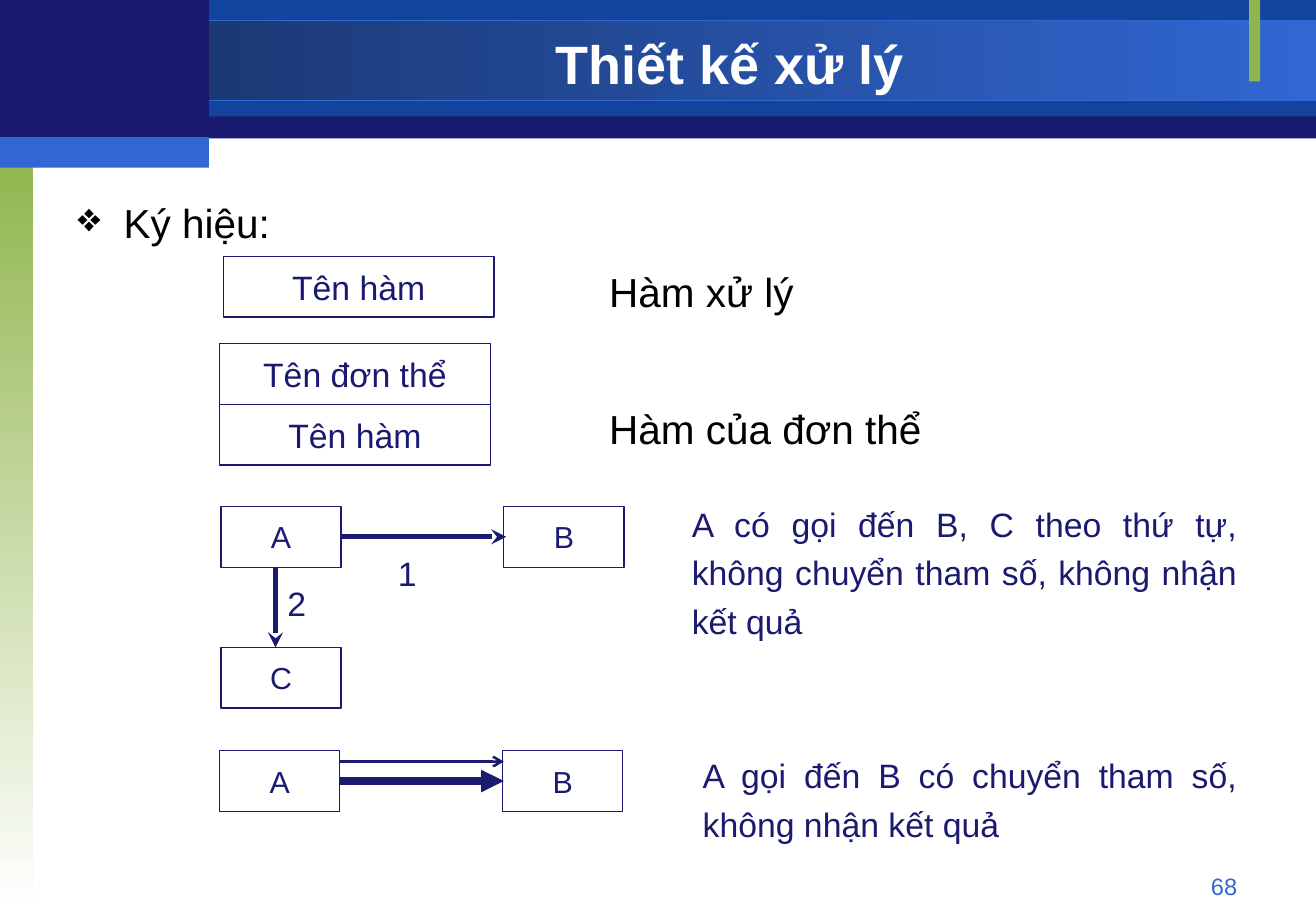
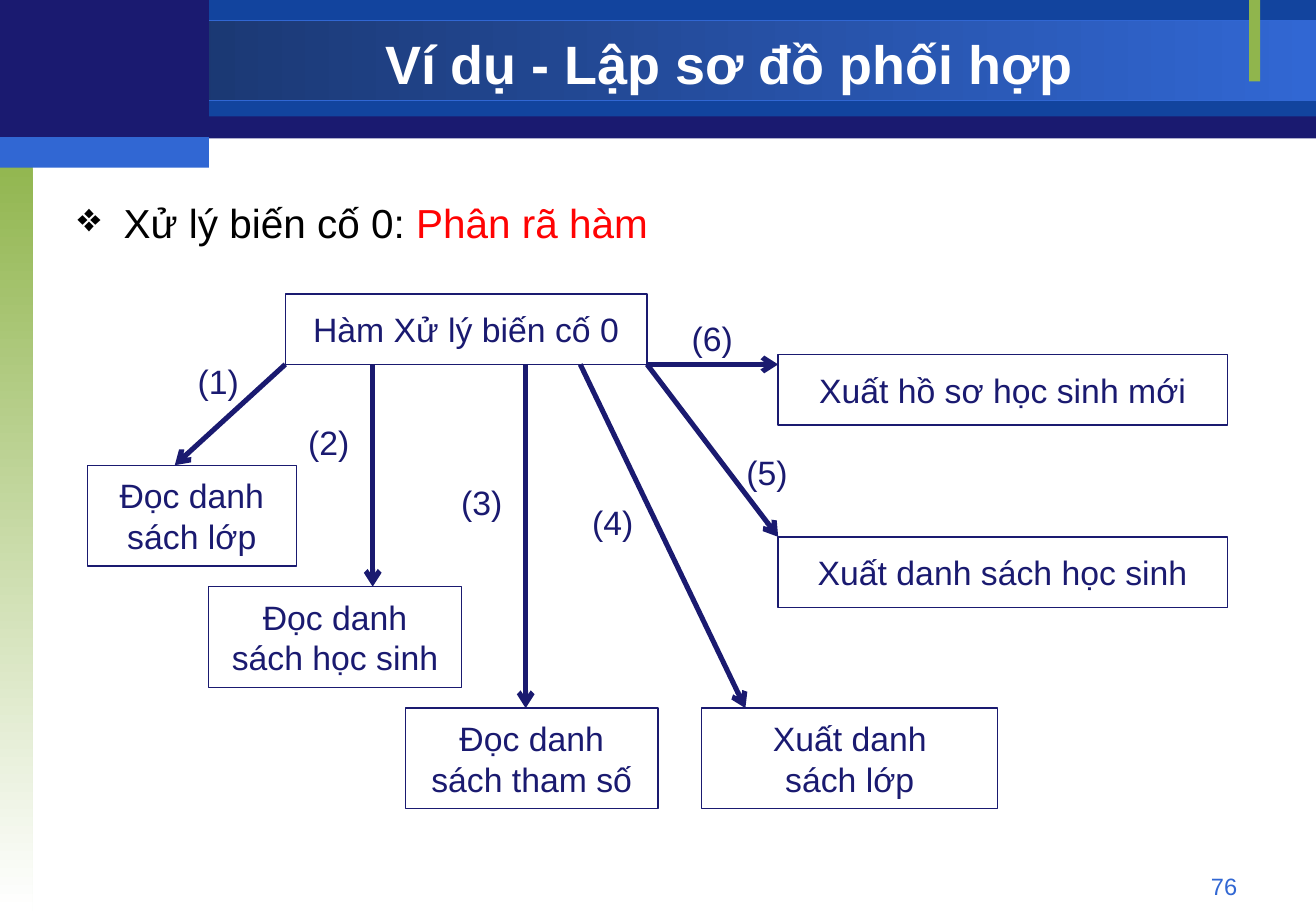
from pptx import Presentation
from pptx.dml.color import RGBColor
from pptx.enum import shapes, text
from pptx.oxml import parse_xml
from pptx.oxml.ns import nsdecls
from pptx.util import Inches, Pt


class Theme:
    font = "Arial"
    navy, royal, sky, dusk = "1A1A70", "12449E", "3167D3", "173062"
    green, white, black, red = "90B54D", "FFFFFF", "000000", "FF0303"
    title, body, label, node, footer = 32, 24, 20, 18, 14
    hairline = 0.75


LEFT, CENTER, RIGHT, JUSTIFY = (
    text.PP_ALIGN.LEFT, text.PP_ALIGN.CENTER, text.PP_ALIGN.RIGHT, text.PP_ALIGN.JUSTIFY)

# Areas are left, top, width, height; two colours make a gradient at the given angle.
BANDS = [
    ((0, 0.01, 10.84, 1.13), [Theme.navy], 0, None),
    ((1.72, 0, 9.12, 0.96), [Theme.royal], 0, None),
    ((0, 0.17, 10.84, 0.66), [Theme.dusk, Theme.sky], 0, Theme.sky),
    ((0, 1.25, 0.27, 6.25), [Theme.green, Theme.white], 270, None),
    ((10.29, 0, 0.09, 0.67), [Theme.green], 0, None),
    ((0, 0, 1.72, 1.17), [Theme.navy], 0, None),
    ((0, 1.13, 1.72, 0.25), [Theme.sky], 0, None),
]
TITLE_AREA = (1.72, 0.23, 8.58, 0.58)
BULLET_AREA = (0.54, 1.5, 9.75, 0.6)
NUMBER_AREA = (7.76, 7.13, 2.53, 0.27)
LABEL_SIZE = (0.63, 0.44)

# Symbols
FUNCTION_BOXES = [
    ("Tên hàm", (1.84, 2.11)), ("Tên đơn thể", (1.81, 2.83)), ("Tên hàm", (1.81, 3.33))]
FUNCTION_SIZE = (2.23, 0.5)
MEANINGS = [("Hàm xử lý", 2.07), ("Hàm của đơn thể", 3.2)]
NODE_SIZE = (0.99, 0.5)
NODES = [("A", (1.82, 4.17)), ("B", (4.15, 4.17)), ("C", (1.82, 5.33)),
         ("A", (1.81, 6.18)), ("B", (4.14, 6.18))]
CALLS = [  # start, end, weight, head
    ((2.81, 4.42), (4.17, 4.42), 3, "stealth"),
    ((2.27, 4.67), (2.27, 5.33), 3, "stealth"),
    ((2.8, 6.43), (4.15, 6.43), 4.5, "triangle"),
    ((2.8, 6.27), (4.15, 6.27), 1.5, "arrow"),
]
CALL_ORDER = [("1", (3.18, 4.5)), ("2", (2.27, 4.75))]
CALL_NOTES = [
    ("A có gọi đến B, C theo thứ tự, không chuyển tham số, không nhận kết quả",
     (5.6, 4.03, 4.69, 1.3)),
    ("A gọi đến B có chuyển tham số, không nhận kết quả", (5.69, 6.1, 4.6, 0.9)),
]

# Decomposition
ROOT = ("Hàm Xử lý biến cố 0", (2.35, 2.42, 2.98, 0.58))
STEPS = [  # lines, area, arrow start x, arrow end, label position
    (["Đọc danh", "sách lớp"], (0.72, 3.83, 1.72, 0.83), 2.35, (1.44, 3.83), (1.53, 2.92)),
    (["Đọc danh", "sách học sinh"], (1.72, 4.83, 2.08, 0.83), 3.07, (3.07, 4.83), (2.44, 3.42)),
    (["Đọc danh", "sách tham số"], (3.34, 5.83, 2.08, 0.83), 4.33, (4.33, 5.83), (3.7, 3.92)),
    (["Xuất danh", "sách lớp"], (5.78, 5.83, 2.44, 0.83), 4.78, (6.14, 5.83), (4.78, 4.08)),
    (["Xuất danh sách học sinh"], (6.41, 4.42, 3.7, 0.58), 5.33, (6.41, 4.42), (6.05, 3.67)),
    (["Xuất hồ sơ học sinh mới"], (6.41, 2.92, 3.7, 0.58), 5.33, (6.41, 3), (5.6, 2.57)),
]


def inches(values):
    return [Inches(value) for value in values]


def rgb(code):
    return RGBColor.from_string(code)


def write(frame, lines, size=Theme.label, color=Theme.navy, bold=False, align=LEFT,
          anchor=text.MSO_ANCHOR.TOP, wrap=True, spacing=None, bullet=None):
    """Fill a frame; each line is a string or a list of (text, colour) spans."""
    frame.word_wrap = wrap
    frame.vertical_anchor = anchor
    for index, line in enumerate(lines):
        para = frame.add_paragraph() if index else frame.paragraphs[0]
        para.alignment = align
        if spacing:
            para.line_spacing = spacing
        if bullet:
            add_bullet(para, bullet)
        for words, tint in [(line, color)] if isinstance(line, str) else line:
            span = para.add_run()
            span.text = words
            span.font.name = Theme.font
            span.font.size = Pt(size)
            span.font.bold = bold
            span.font.color.rgb = rgb(tint)


def add_bullet(para, symbol):
    props = para._p.get_or_add_pPr()
    props.set("marL", str(Inches(0.38)))
    props.set("indent", str(-Inches(0.38)))
    props.append(parse_xml(
        f'<a:buClr {nsdecls("a")}><a:srgbClr val="{Theme.black}"/></a:buClr>'))
    props.append(parse_xml(f'<a:buChar {nsdecls("a")} char="{symbol}"/>'))


def add_text(page, area, lines, **style):
    write(page.shapes.add_textbox(*inches(area)).text_frame, lines, **style)


def add_rect(page, area, colors=(), angle=0, line=None):
    rect = page.shapes.add_shape(shapes.MSO_SHAPE.RECTANGLE, *inches(area))
    rect.shadow.inherit = False
    if len(colors) > 1:
        rect.fill.gradient()
        rect.fill.gradient_angle = angle
        for stop, color in zip(rect.fill.gradient_stops, colors):
            stop.color.rgb = rgb(color)
    elif colors:
        rect.fill.solid()
        rect.fill.fore_color.rgb = rgb(colors[0])
    else:
        rect.fill.background()
    if line:
        rect.line.color.rgb = rgb(line)
        rect.line.width = Pt(Theme.hairline)
    else:
        rect.line.fill.background()
    return rect


def add_node(page, area, lines, size=Theme.label):
    write(add_rect(page, area, line=Theme.navy).text_frame, lines, size=size,
          align=CENTER, anchor=text.MSO_ANCHOR.MIDDLE, wrap=False)


def add_arrow(page, start, end, weight=3, head="arrow"):
    arrow = page.shapes.add_connector(
        shapes.MSO_CONNECTOR.STRAIGHT, *inches(start + end))
    arrow.line.color.rgb = rgb(Theme.navy)
    arrow.line.width = Pt(weight)
    arrow.line._get_or_add_ln().append(
        parse_xml(f'<a:tailEnd {nsdecls("a")} type="{head}"/>'))
    arrow._element.spPr.append(parse_xml(f'<a:effectLst {nsdecls("a")}/>'))


def add_page(deck, title, bullet, number):
    page = deck.slides.add_slide(deck.slide_layouts[6])
    for area, colors, angle, line in BANDS:
        add_rect(page, area, colors, angle, line)
    add_text(page, TITLE_AREA, [title], size=Theme.title, color=Theme.white, bold=True,
             align=CENTER, anchor=text.MSO_ANCHOR.MIDDLE)
    add_text(page, BULLET_AREA, [bullet], size=Theme.body, color=Theme.black,
             align=JUSTIFY, spacing=1.2, bullet="❖")
    add_text(page, NUMBER_AREA, [number], size=Theme.footer, color=Theme.sky, align=RIGHT)
    return page


def build_symbols(deck):
    page = add_page(deck, "Thiết kế xử lý", "Ký hiệu:", "68")
    for name, place in FUNCTION_BOXES:
        add_node(page, place + FUNCTION_SIZE, [name])
    for meaning, top in MEANINGS:
        add_text(page, (4.92, top, 5.37, 0.6), [meaning], size=Theme.body,
                 color=Theme.black, spacing=1.2)
    for name, place in NODES:
        add_node(page, place + NODE_SIZE, [name], size=Theme.node)
    for call in CALLS:
        add_arrow(page, *call)
    for label, place in CALL_ORDER:
        add_text(page, place + LABEL_SIZE, [label])
    for note, area in CALL_NOTES:
        add_text(page, area, [note], align=JUSTIFY, spacing=1.2)


def build_decomposition(deck):
    page = add_page(deck, "Ví dụ - Lập sơ đồ phối hợp",
                    [("Xử lý biến cố 0: ", Theme.black), ("Phân rã hàm", Theme.red)], "76")
    name, root = ROOT
    add_node(page, root, [name])
    root_bottom = root[1] + root[3]
    for number, (lines, area, start_x, end, label_place) in enumerate(STEPS, 1):
        add_node(page, area, lines)
        add_arrow(page, (start_x, root_bottom), end)
        add_text(page, label_place + LABEL_SIZE, [f"({number})"])


def main():
    deck = Presentation()
    deck.slide_width, deck.slide_height = inches((10.84, 7.5))
    build_symbols(deck)
    build_decomposition(deck)
    deck.save("out.pptx")


if __name__ == "__main__":
    main()
